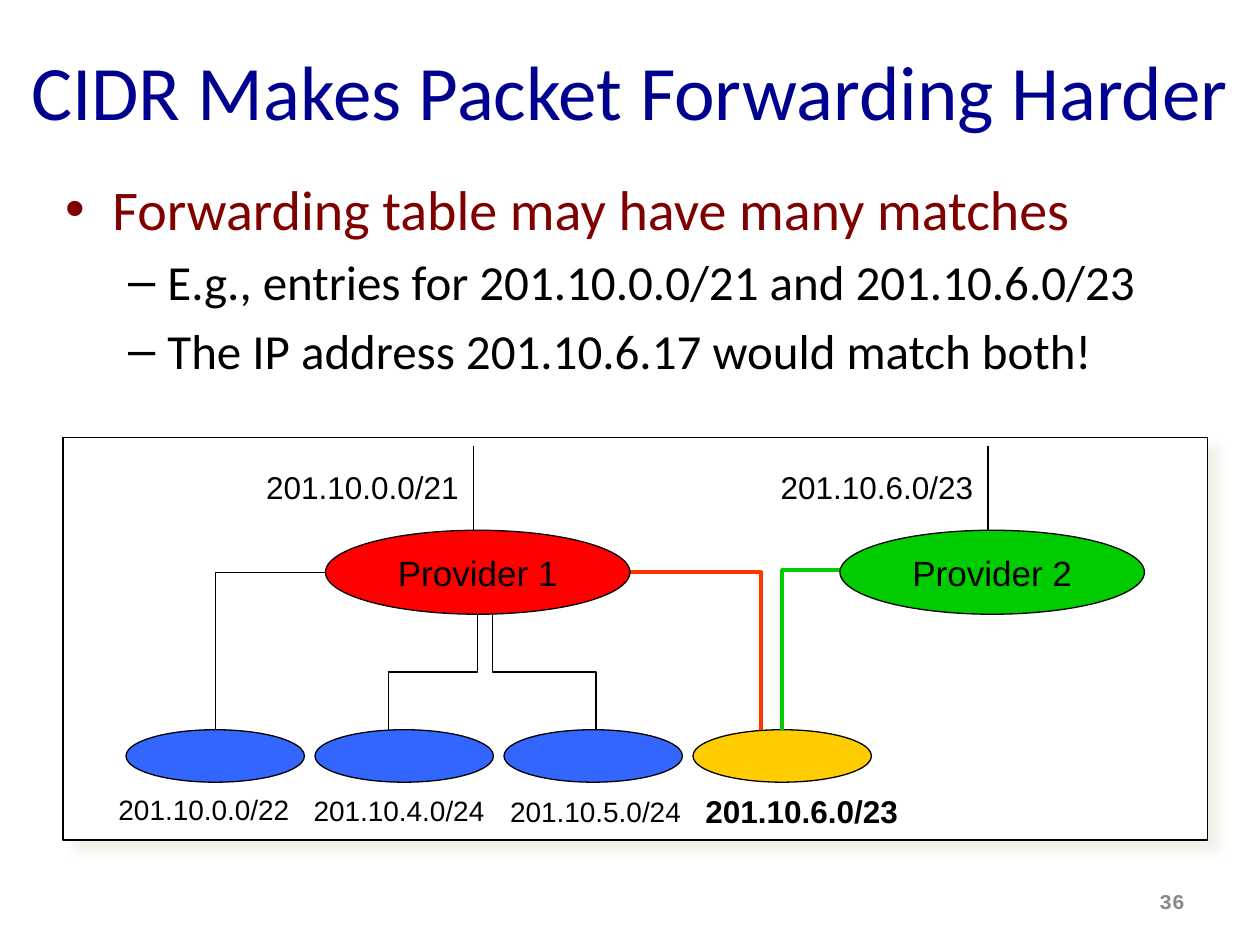
from lxml import etree
from pptx import Presentation
from pptx.dml.color import RGBColor
from pptx.enum.shapes import MSO_CONNECTOR as Link, MSO_SHAPE as Shape
from pptx.enum.text import MSO_ANCHOR as Anchor, PP_ALIGN as Align
from pptx.oxml.ns import qn
from pptx.util import Pt

COLORS = {
    "title": "000090", "topic": "800000", "black": "000000", "white": "FFFFFF",
    "provider1": "FF0000", "provider2": "00CC00", "customer": "3366FF",
    "shared": "FFCC00", "red_link": "FF3300", "shadow": "EEECE1", "number": "898989",
}


def rgb(name):
    return RGBColor.from_string(COLORS[name])


def write(frame, text, size, color="black", font="Arial", bold=False,
          align=None, level=0, add=False):
    paragraph = frame.add_paragraph() if add else frame.paragraphs[0]
    paragraph.level = level
    paragraph.alignment = align
    run = paragraph.add_run()
    run.text = text
    run.font.size = Pt(size)
    run.font.name = font
    run.font.bold = bold
    run.font.color.rgb = rgb(color)


def place(shape, left, top, width, height):
    shape.left, shape.top = Pt(left), Pt(top)
    shape.width, shape.height = Pt(width), Pt(height)


def add_label(slide, text, left, top, width, size=18, wrap=False, anchor=Anchor.TOP, **style):
    label = slide.shapes.add_textbox(Pt(left), Pt(top), Pt(width), Pt(size + 10.5))
    label.text_frame.word_wrap = wrap
    label.text_frame.vertical_anchor = anchor
    write(label.text_frame, text, size, **style)


def add_node(slide, kind, left, top, width, height, fill):
    node = slide.shapes.add_shape(kind, Pt(left), Pt(top), Pt(width), Pt(height))
    node.shadow.inherit = False
    node.fill.solid()
    node.fill.fore_color.rgb = rgb(fill)
    node.line.color.rgb = rgb("black")
    node.line.width = Pt(0.75)
    return node


def add_link(slide, start, end, color="black", width=0.75, kind=Link.STRAIGHT):
    link = slide.shapes.add_connector(kind, *map(Pt, (*start, *end)))
    link.line.color.rgb = rgb(color)
    link.line.width = Pt(width)
    etree.SubElement(link._element.spPr, qn("a:effectLst"))
    return link


def add_corner(slide, start, end, **style):
    """Run sideways from start, then down to end."""
    link = add_link(slide, start, end, kind=Link.ELBOW, **style)
    link._element.spPr.find(qn("a:prstGeom")).set("prst", "bentConnector2")


def add_step(slide, start, end, bend=0.5, **style):
    """Run down, sideways at the share bend of the height, and down again.

    The preset runs sideways first, so its box is laid flat and turned by 90 degrees.
    """
    (x1, y1), (x2, y2) = start, end
    center_x, center_y = (x1 + x2) / 2, (y1 + y2) / 2
    half_dx, half_dy = (x2 - x1) / 2, (y2 - y1) / 2
    link = add_link(slide, (center_x - half_dy, center_y + half_dx),
                    (center_x + half_dy, center_y - half_dx), kind=Link.ELBOW, **style)
    properties = link._element.spPr
    properties.find(qn("a:xfrm")).set("rot", "5400000")
    geometry = properties.find(qn("a:prstGeom"))
    adjustments = geometry.find(qn("a:avLst"))
    if adjustments is None:
        adjustments = etree.SubElement(geometry, qn("a:avLst"))
    etree.SubElement(adjustments, qn("a:gd"), name="adj1", fmla=f"val {round(bend * 100000)}")


def add_panel(slide, left, top, width, height):
    panel = add_node(slide, Shape.RECTANGLE, left, top, width, height, "white")
    effects = panel._element.spPr.find(qn("a:effectLst"))
    shadow = etree.SubElement(effects, qn("a:outerShdw"), blurRad=str(Pt(5)),
                              dist=str(Pt(8.5)), dir="2700000", algn="tl", rotWithShape="0")
    tint = etree.SubElement(shadow, qn("a:srgbClr"), val=COLORS["shadow"])
    etree.SubElement(tint, qn("a:alpha"), val="75000")


def add_provider(slide, left, top, name, prefix, fill):
    """Provider ellipse with the uplink and its prefix above."""
    uplink_x = left + 84.5
    add_link(slide, (uplink_x, top), (uplink_x, top - 48))
    add_label(slide, prefix, left - 41, top - 39, 125)
    provider = add_node(slide, Shape.OVAL, left, top, 174, 48, fill)
    provider.text_frame.word_wrap = False
    provider.text_frame.vertical_anchor = Anchor.MIDDLE
    write(provider.text_frame, name, 20, align=Align.CENTER)


def add_network(slide, left, top, width, height):
    add_panel(slide, left, top, width, height)

    customer_top, customer_width, pitch = top + 167, 102, 108
    customers = [
        ("201.10.0.0/22", "customer", 24.5, 199.3, 112, {"size": 16, "align": Align.CENTER}),
        ("201.10.4.0/24", "customer", 136, 200, 112, {"size": 16, "align": Align.CENTER}),
        ("201.10.5.0/24", "customer", 248.4, 200.7, 112, {"size": 16}),
        ("201.10.6.0/23", "shared", 360, 199.3, 125, {"bold": True}),
    ]
    centers = []
    for i, (prefix, fill, label_x, label_y, label_width, style) in enumerate(customers):
        customer_left = left + 36 + i * pitch
        add_node(slide, Shape.OVAL, customer_left, customer_top, customer_width, 30, fill)
        add_label(slide, prefix, left + label_x, top + label_y, label_width, **style)
        centers.append(customer_left + customer_width / 2)

    provider_top = top + 53
    middle, bottom = provider_top + 24, provider_top + 48
    first, second = left + 150, left + 444
    add_corner(slide, (first, middle), (centers[0], customer_top))
    add_step(slide, (first + 87, bottom), (centers[1] - 9, customer_top))
    add_step(slide, (first + 95.5, bottom), (centers[2] + 1.5, customer_top))
    add_corner(slide, (first + 174, middle), (centers[3] - 12, customer_top),
               color="red_link", width=2)
    add_step(slide, (second, middle), (centers[3], customer_top), bend=-0.014,
             color="provider2", width=2)
    add_provider(slide, first, provider_top, "Provider 1", "201.10.0.0/21", "provider1")
    add_provider(slide, second, provider_top, "Provider 2", "201.10.6.0/23", "provider2")


def add_title(slide, left, top, width, height):
    title = slide.shapes.title
    place(title, left, top, width, height)
    title.text_frame.vertical_anchor = Anchor.MIDDLE
    write(title.text_frame, "CIDR Makes Packet Forwarding Harder", 44, "title", "Calibri",
          align=Align.CENTER)


def add_points(slide, left, top, width, height):
    body = slide.placeholders[1]
    place(body, left, top, width, height)
    frame = body.text_frame
    write(frame, "Forwarding table may have many matches", 32, "topic", "Calibri")
    for point in ("E.g., entries for 201.10.0.0/21 and 201.10.6.0/23",
                  "The IP address 201.10.6.17 would match both!"):
        write(frame, point, 28, font="Calibri", level=1, add=True)


def main():
    deck = Presentation()
    deck.slide_width, deck.slide_height = Pt(720), Pt(540)
    slide = deck.slides.add_slide(deck.slide_layouts[1])
    add_title(slide, 0, 6, 720, 90)
    add_points(slide, 30, 96, 672, 387)
    add_network(slide, 36, 250, 654, 230)
    add_label(slide, "36", 516, 503.5, 168, size=12, wrap=True, anchor=Anchor.MIDDLE,
              color="number", font="Courier New", bold=True, align=Align.RIGHT)
    deck.save("out.pptx")


if __name__ == "__main__":
    main()
